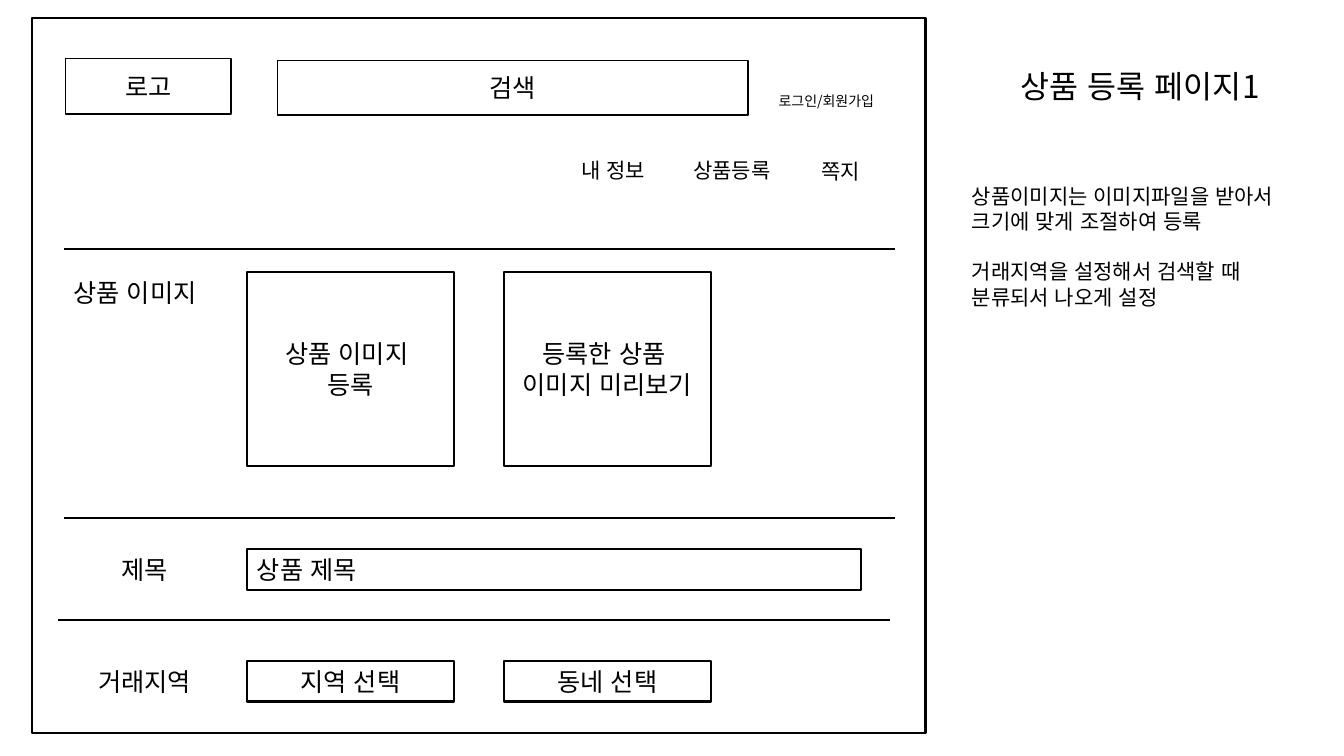
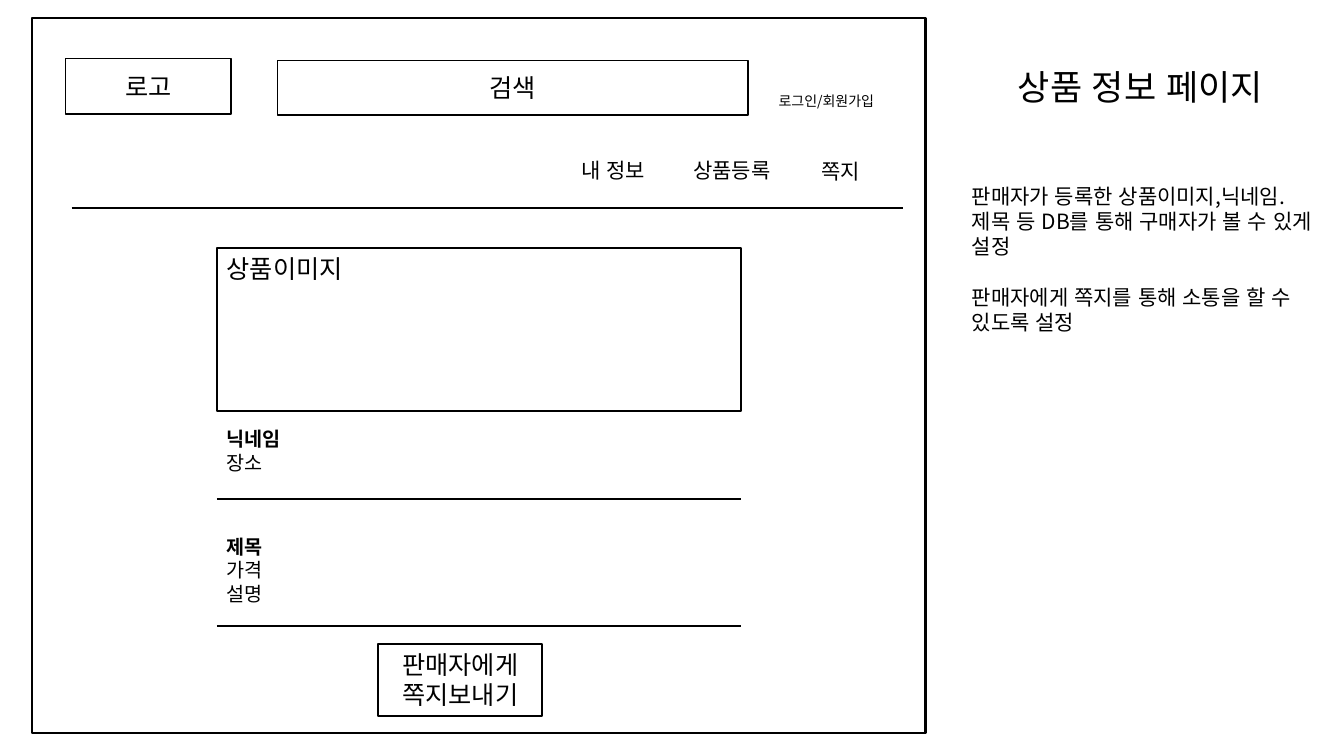
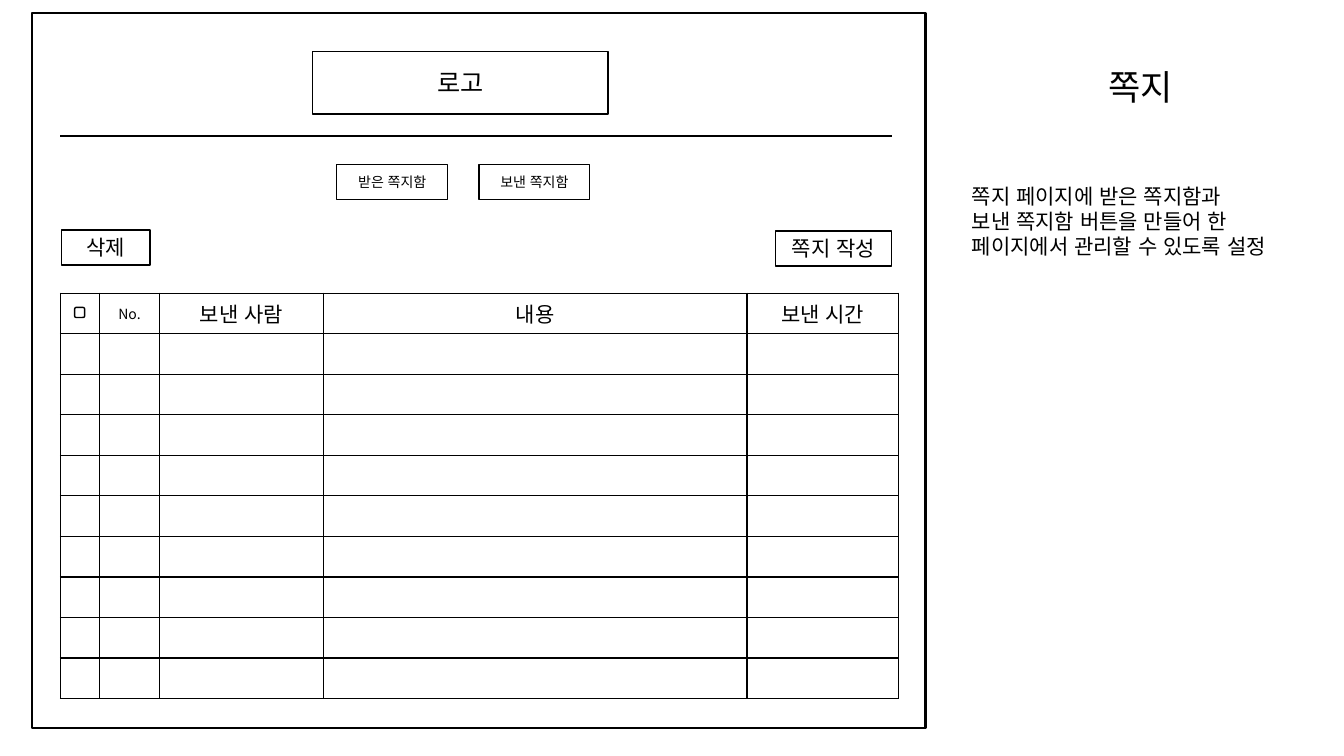
from lxml.etree import SubElement
from pptx import Presentation
from pptx.dml.color import RGBColor
from pptx.enum.lang import MSO_LANGUAGE_ID as Lang
from pptx.enum.shapes import MSO_CONNECTOR as Link, MSO_SHAPE as Kind
from pptx.enum.text import MSO_ANCHOR as Anchor, PP_ALIGN as Align
from pptx.oxml.ns import qn
from pptx.util import Inches, Pt

BLACK = RGBColor(0, 0, 0)
WHITE = RGBColor(255, 255, 255)
FONT = "Noto Sans CJK KR"
THIN, THICK = 1, 1.5
SMALL, NOTE, BODY, TITLE = 10, 15, 18, 25
TOP, MID = Anchor.TOP, Anchor.MIDDLE
LEFT, CENTER = Align.LEFT, Align.CENTER


def style(part, size, bold=False, align=CENTER):
    part.alignment = align
    for run in part.runs:
        font = run.font
        font.name = FONT
        font.size = Pt(size)
        font.bold = bold
        font.color.rgb = BLACK
        font.language_id = Lang.KOREAN
        SubElement(font._element, qn("a:ea"), typeface=FONT)


def write(frame, text, size, align, anchor, head=False):
    frame.word_wrap = True
    frame.vertical_anchor = anchor
    frame.text = text
    for i, part in enumerate(frame.paragraphs):
        style(part, size, head and i == 0, align)


def label(slide, area, text, size=BODY, align=CENTER, anchor=TOP):
    item = slide.shapes.add_textbox(*map(Inches, area))
    write(item.text_frame, text, size, align, anchor)
    return item.text_frame


def box(slide, area, text="", size=BODY, width=THIN, align=CENTER,
        anchor=MID, head=False, kind=Kind.RECTANGLE):
    item = slide.shapes.add_shape(kind, *map(Inches, area))
    item.shadow.inherit = False
    item.fill.solid()
    item.fill.fore_color.rgb = WHITE
    if width:
        item.line.color.rgb = BLACK
        item.line.width = Pt(width)
    else:
        item.line.fill.background()
    if text:
        write(item.text_frame, text, size, align, anchor, head)


def rule(slide, left, top, length, width=THIN):
    ends = map(Inches, (left, top, left + length, top))
    line = slide.shapes.add_connector(Link.STRAIGHT, *ends)
    line.line.color.rgb = BLACK
    line.line.width = Pt(width)
    SubElement(line._element.spPr, qn("a:effectLst"))


def border(cell):
    props = cell._tc.get_or_add_tcPr()
    for i, side in enumerate(("lnL", "lnR", "lnT", "lnB")):
        edge = props.makeelement(qn("a:" + side), {"w": str(Pt(THIN))})
        fill = SubElement(edge, qn("a:solidFill"))
        SubElement(fill, qn("a:srgbClr"), val=str(BLACK))
        props.insert(i, edge)


def grid(slide, area, heads, sizes, widths, rows):
    table = slide.shapes.add_table(rows, len(widths), *map(Inches, area)).table
    for col, width in zip(table.columns, widths):
        col.width = Inches(width)
    for cell in table.iter_cells():
        cell.fill.solid()
        cell.fill.fore_color.rgb = WHITE
        cell.vertical_anchor = MID
        cell.margin_top = cell.margin_bottom = Inches(0.03)
        border(cell)
    for cell, text, size in zip(table.rows[0].cells, heads, sizes):
        cell.text = text
        style(cell.text_frame.paragraphs[0], size)


def page(deck, title, notes, top=0.18, size=TITLE):
    slide = deck.slides.add_slide(deck.slide_layouts[6])
    head = label(slide, (9.86, 0.63, 2.9, 0.5), title, size, anchor=MID)
    head.paragraphs[0].line_spacing = 0.9
    box(slide, (0.32, top, 8.86, 7.09), width=THICK)
    text = "\n".join(notes)
    frame = label(slide, (9.54, 1.77, 3.61, 1.36), text, NOTE, LEFT)
    return slide, frame.paragraphs


def menu(slide):
    box(slide, (0.65, 0.58, 1.64, 0.55), "로고")
    box(slide, (2.75, 0.6, 4.67, 0.54), "검색")
    for left, top, width, text in (
        (5.49, 1.42, 1.18, "내 정보"),
        (6.67, 1.42, 1.18, "상품등록"),
        (7.85, 1.43, 0.98, "쪽지"),
    ):
        box(slide, (left, top, width, 0.54), text, NOTE, 0)
    label(slide, (7.42, 0.87, 1.55, 0.27), "로그인/회원가입", SMALL)


def entry(deck):
    slide, notes = page(deck, "상품 등록 페이지1", (
        "상품이미지는 이미지파일을 받아서",
        "크기에 맞게 조절하여 등록",
        "거래지역을 설정해서 검색할 때",
        "분류되서 나오게 설정",
    ), size=22.5)
    notes[2].space_before = Pt(18)
    menu(slide)
    for left, top, width in (
        (0.63, 2.47, THICK), (0.63, 5.14, THICK), (0.58, 6.15, THIN),
    ):
        rule(slide, left, top, 8.25, width)
    for top, text, align in (
        (2.7, "상품 이미지", LEFT),
        (5.45, "제목", CENTER),
        (6.56, "거래지역", CENTER),
    ):
        label(slide, (0.63, top, 1.61, 0.4), text, align=align)
    for left, image, place in (
        (2.45, "상품 이미지 \n등록", "지역 선택"),
        (5, "등록한 상품 \n이미지 미리보기", "동네 선택"),
    ):
        box(slide, (left, 2.7, 2.05, 1.92), image, width=THICK)
        box(slide, (left, 6.56, 2.05, 0.4), place, width=THICK, anchor=TOP)
    box(slide, (2.45, 5.45, 6.09, 0.4), "상품 제목",
        width=THICK, align=LEFT, anchor=TOP)


def detail(deck):
    slide, notes = page(deck, "상품 정보 페이지", (
        "판매자가 등록한 상품이미지,닉네임.제목 등 DB를 통해 구매자가 볼 수 있게 설정",
        "판매자에게 쪽지를 통해 소통을 할 수 있도록 설정",
    ))
    notes[1].space_before = Pt(18)
    menu(slide)
    rule(slide, 0.71, 2.06, 8.25, THICK)
    box(slide, (2.15, 2.46, 5.2, 1.62), "상품이미지",
        width=THICK, align=LEFT, anchor=TOP)
    for top, width, height, text, base in (
        (4.16, 1.81, 0.62, "닉네임\n장소", 4.95),
        (5.1, 5.2, 1.11, "제목\n가격\n설명", 6.21),
    ):
        box(slide, (2.15, top, width, height), text, 14, 0, LEFT, head=True)
        rule(slide, 2.15, base, 5.2)
    box(slide, (3.75, 6.39, 1.63, 0.71), "판매자에게 쪽지보내기",
        width=THICK, anchor=TOP)


def inbox(deck):
    slide, _ = page(deck, "쪽지", (
        "쪽지 페이지에 받은 쪽지함과",
        "보낸 쪽지함 버튼을 만들어 한",
        "페이지에서 관리할 수 있도록 설정",
    ), top=0.13)
    box(slide, (3.1, 0.51, 2.93, 0.62), "로고")
    rule(slide, 0.6, 1.35, 8.25, THICK)
    for left, top, width, text, size in (
        (3.34, 1.63, 1.1, "받은 쪽지함", SMALL),
        (4.75, 1.63, 1.1, "보낸 쪽지함", SMALL),
        (0.61, 2.28, 0.88, "삭제", NOTE),
        (7.69, 2.29, 1.15, "쪽지 작성", NOTE),
    ):
        box(slide, (left, top, width, 0.35), text, size)
    grid(slide, (0.6, 2.91, 8.31, 4.02),
         ("", "No.", "보낸 사람", "내용", "보낸 시간"),
         (SMALL, SMALL, NOTE, NOTE, NOTE),
         (0.39, 0.59, 1.63, 4.2, 1.5), 10)
    box(slide, (0.74, 3.05, 0.1, 0.1), kind=Kind.ROUNDED_RECTANGLE)


def main():
    deck = Presentation()
    deck.slide_width = Inches(13.33)
    deck.slide_height = Inches(7.5)
    entry(deck)
    detail(deck)
    inbox(deck)
    deck.save("out.pptx")


if __name__ == "__main__":
    main()
